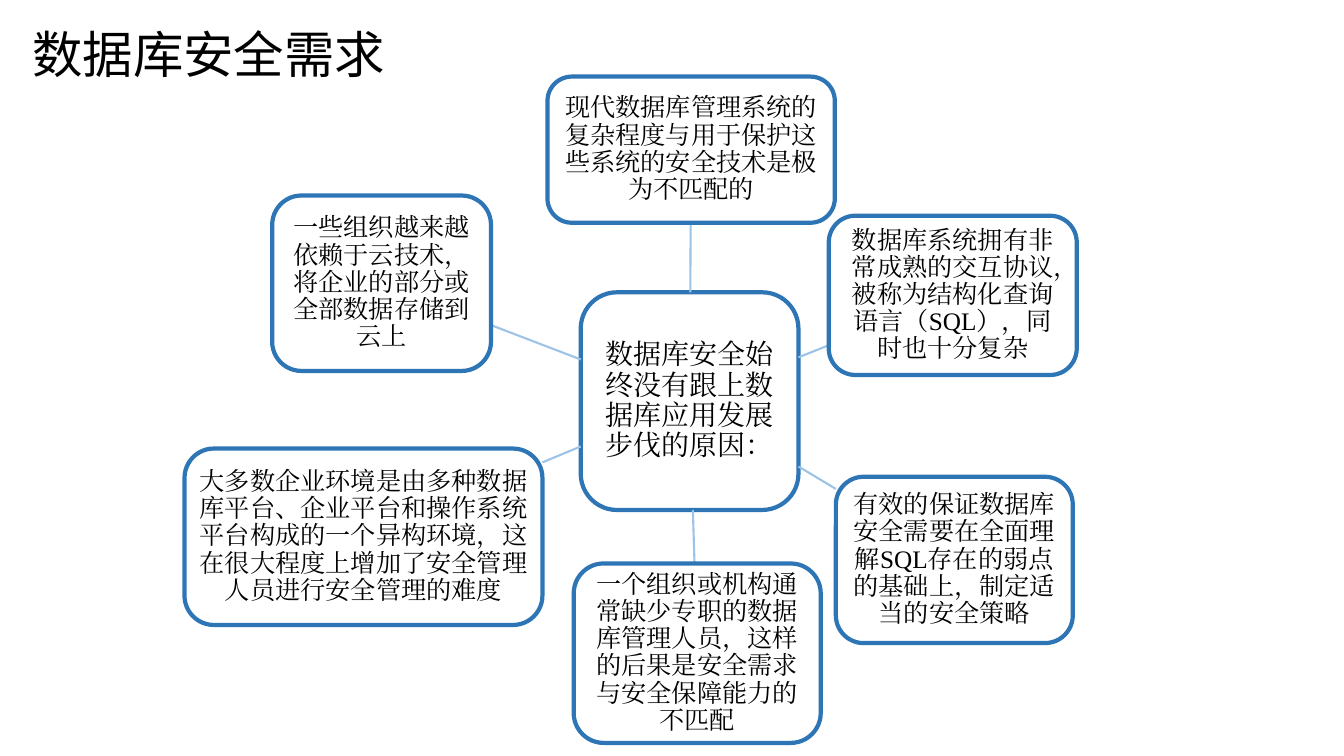
"""Builds a slide with a central question and six reasons around it."""
from lxml import etree
from pptx import Presentation
from pptx.dml.color import RGBColor
from pptx.enum.lang import MSO_LANGUAGE_ID
from pptx.enum.shapes import MSO_CONNECTOR, MSO_SHAPE
from pptx.enum.text import MSO_ANCHOR, PP_ALIGN
from pptx.oxml.ns import qn
from pptx.util import Inches, Pt

CHINESE = MSO_LANGUAGE_ID.SIMPLIFIED_CHINESE
ROUNDED = MSO_SHAPE.ROUNDED_RECTANGLE
STRAIGHT = MSO_CONNECTOR.STRAIGHT
MIDDLE = MSO_ANCHOR.MIDDLE
LEFT, CENTER = PP_ALIGN.LEFT, PP_ALIGN.CENTER

TITLE_FONT, BODY_FONT = "Noto Sans CJK SC", "Times New Roman"
BLACK, BLUE, PALE_BLUE = "000000", "2E75B6", "9DC3E6"

TITLE = "数据库安全需求"
TITLE_AREA = (0.21, 0, 7.43, 1.06)
HUB = ("数据库安全始终没有跟上数据库应用发展步伐的原因：", (5.76, 2.9, 2.16, 2.16))
REASONS = [
    ("现代数据库管理系统的复杂程度与用于保护这些系统的安全技术是极为不匹配的",
     (5.43, 0.76, 2.85, 1.45)),
    ("数据库系统拥有非常成熟的交互协议，被称为结构化查询语言（SQL），同时也十分复杂",
     (8.22, 2.14, 2.46, 1.58)),
    ("有效的保证数据库安全需要在全面理解SQL存在的弱点的基础上，制定适当的安全策略",
     (8.29, 4.73, 2.35, 1.65)),
    ("一个组织或机构通常缺少专职的数据库管理人员，这样的后果是安全需求与安全保障能力的不匹配",
     (5.69, 5.59, 2.45, 1.78)),
    ("大多数企业环境是由多种数据库平台、企业平台和操作系统平台构成的一个异构环境，"
     "这在很大程度上增加了安全管理人员进行安全管理的难度",
     (1.83, 4.45, 3.55, 1.75)),
    ("一些组织越来越依赖于云技术，将企业的部分或全部数据存储到云上",
     (2.7, 1.94, 2.17, 1.74)),
]


def color(value):
    return RGBColor.from_string(value)


def write(shape, text, font_name, size, align, margins):
    frame = shape.text_frame
    frame.text = text
    frame.word_wrap = True
    frame.vertical_anchor = MIDDLE
    frame.margin_left = frame.margin_right = Inches(margins[0])
    frame.margin_top = frame.margin_bottom = Inches(margins[1])
    para = frame.paragraphs[0]
    para.alignment = align
    span = para.runs[0]
    span.font.size = Pt(size)
    span.font.color.rgb = color(BLACK)
    span.font.name = font_name
    span.font.language_id = CHINESE
    east_asian = etree.SubElement(span.font._element, qn("a:ea"))
    east_asian.set("typeface", font_name)
    return para


def add_box(page, text, area, size, margin):
    box = page.shapes.add_shape(ROUNDED, *map(Inches, area))
    box.shadow.inherit = False
    box.fill.background()
    box.line.color.rgb = color(BLUE)
    box.line.width = Pt(3)
    para = write(box, text, BODY_FONT, size, CENTER, (margin, margin))
    para.line_spacing = 0.9


def center(area):
    left, top, width, height = area
    return left + width / 2, top + height / 2


def edge_toward(area, target):
    """Returns where the line from the area's centre to the target leaves the area."""
    x, y = center(area)
    dx, dy = target[0] - x, target[1] - y
    share = 0.5 / max(abs(dx) / area[2], abs(dy) / area[3])
    return x + dx * share, y + dy * share


def add_spoke(page, hub_area, area):
    start = edge_toward(hub_area, center(area))
    end = edge_toward(area, center(hub_area))
    spoke = page.shapes.add_connector(STRAIGHT, *map(Inches, start + end))
    spoke.line.color.rgb = color(PALE_BLUE)
    spoke.line.width = Pt(1.5)
    etree.SubElement(spoke._element.spPr, qn("a:effectLst"))


def main():
    deck = Presentation()
    deck.slide_width, deck.slide_height = Inches(13.33), Inches(7.5)
    page = deck.slides.add_slide(deck.slide_layouts[5])
    title = page.shapes.title
    title.left, title.top, title.width, title.height = map(Inches, TITLE_AREA)
    write(title, TITLE, TITLE_FONT, 36, LEFT, (0.11, 0.06))

    hub_text, hub_area = HUB
    add_box(page, hub_text, hub_area, 20, 0.06)
    for text, area in REASONS:
        add_spoke(page, hub_area, area)
        add_box(page, text, area, 18, 0.05)
    deck.save("out.pptx")


if __name__ == "__main__":
    main()
